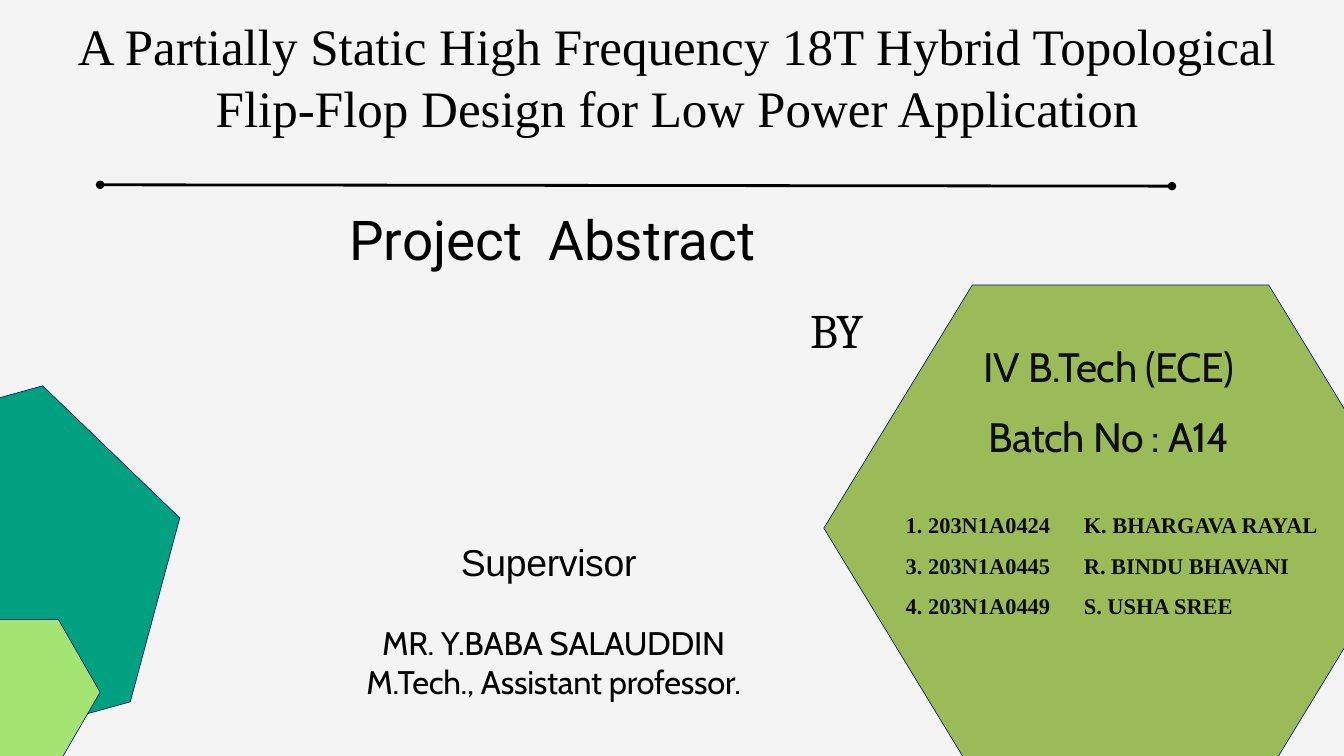
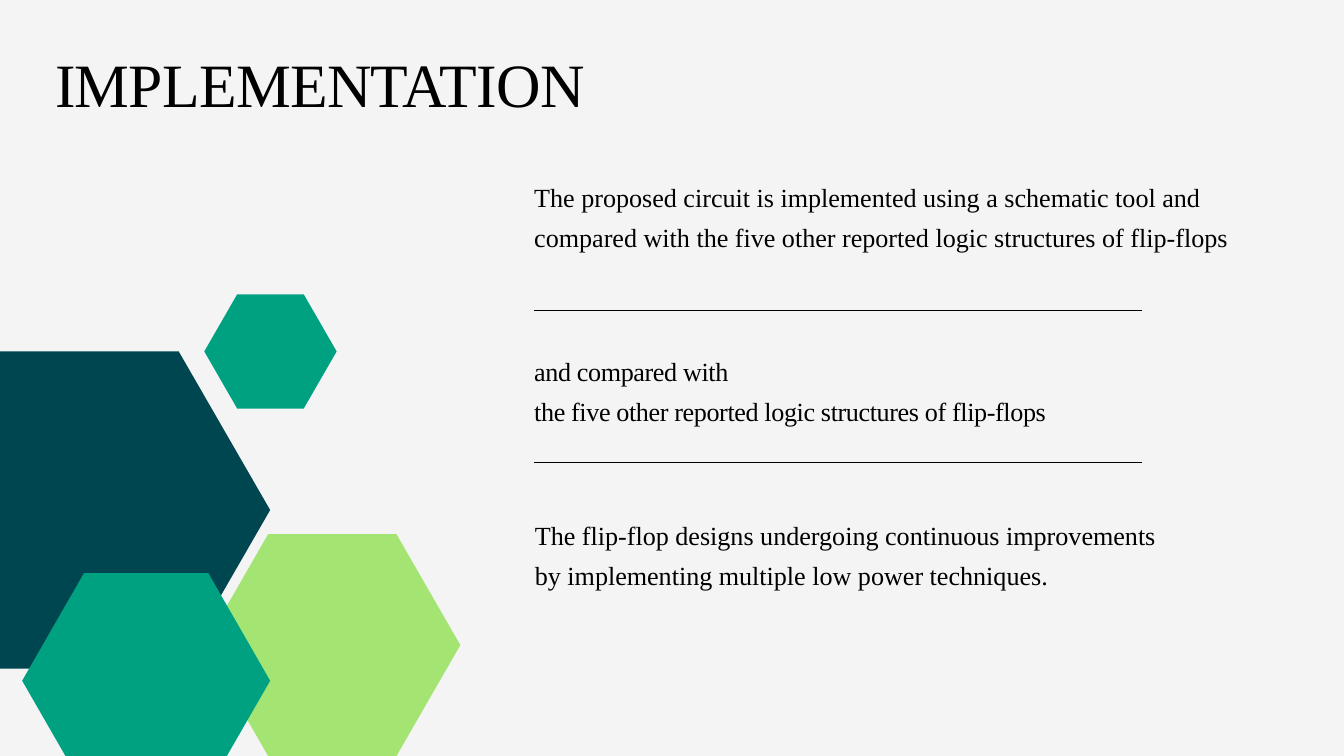
"""Build a title slide and an implementation slide with hexagon decoration."""
from dataclasses import dataclass

from lxml import etree
from pptx import Presentation
from pptx.dml.color import RGBColor
from pptx.enum.shapes import MSO_CONNECTOR
from pptx.enum.text import MSO_AUTO_SIZE, PP_ALIGN
from pptx.oxml.ns import qn
from pptx.util import Pt

PX = 9144
LEFT, MID, JUST = PP_ALIGN.LEFT, PP_ALIGN.CENTER, PP_ALIGN.JUSTIFY
STRAIGHT = MSO_CONNECTOR.STRAIGHT
GROW = MSO_AUTO_SIZE.SHAPE_TO_FIT_TEXT


@dataclass(frozen=True)
class Theme:
    paper: RGBColor = RGBColor.from_string("F4F4F4")
    ink: RGBColor = RGBColor.from_string("000000")
    soft: RGBColor = RGBColor.from_string("0D0D0D")
    edge: RGBColor = RGBColor.from_string("002060")
    olive: RGBColor = RGBColor.from_string("9BBB59")
    green: RGBColor = RGBColor.from_string("00A181")
    lime: RGBColor = RGBColor.from_string("A4E473")
    teal: RGBColor = RGBColor.from_string("004651")
    serif: str = "Times New Roman"
    head: float = 66
    title: float = 54.7
    sub: float = 58.8
    by: float = 51.5
    batch: float = 44
    role: float = 40
    guide: float = 35
    body: float = 28
    names: float = 24


T = Theme()


def text(slide, box, lines, size, font=T.serif, color=T.ink, align=LEFT,
         lead=1.0, track=0, bold=False, pad=(0, 0), tab=None):
    """Add a text box with one paragraph for each line."""
    frame = slide.shapes.add_textbox(*[n * PX for n in box]).text_frame
    frame.word_wrap, frame.auto_size = True, GROW
    frame.margin_left = frame.margin_right = pad[0] * PX
    frame.margin_top = frame.margin_bottom = pad[1] * PX
    for i, line in enumerate(lines):
        para = frame.add_paragraph() if i else frame.paragraphs[0]
        para.alignment, para.line_spacing = align, lead
        run = para.add_run()
        run.text = line
        run.font.name, run.font.size, run.font.bold = font, Pt(size), bold
        run.font.color.rgb = color
        if track:
            run.font._element.set("spc", str(round(track * 100)))
        if tab:
            stops = etree.SubElement(para._p.get_or_add_pPr(), qn("a:tabLst"))
            etree.SubElement(stops, qn("a:tab"), pos=str(tab * PX), algn="l")
    return frame


def hexagon(slide, box, fill, edge=None, turn=0):
    """Draw a flat-topped hexagon that fills the box."""
    x, y, w, h = box
    near, far, mid = x + w / 4, x + w * 3 / 4, y + h / 2
    path = slide.shapes.build_freeform(x, mid, scale=PX)
    path.add_line_segments(
        [(near, y), (far, y), (x + w, mid), (far, y + h), (near, y + h)])
    shape = path.convert_to_shape()
    shape.shadow.inherit = False
    shape.rotation = turn
    shape.fill.solid()
    shape.fill.fore_color.rgb = fill
    if edge:
        shape.line.color.rgb, shape.line.width = edge, Pt(0.75)
    else:
        shape.line.fill.background()


deck = Presentation()
deck.slide_width, deck.slide_height = 2000 * PX, 1125 * PX
cover, work = [deck.slides.add_slide(deck.slide_layouts[6]) for _ in range(2)]
for slide in (cover, work):
    slide.background.fill.solid()
    slide.background.fill.fore_color.rgb = T.paper

text(cover, (49, 22, 1918, 355),
     ["A Partially Static High Frequency 18T Hybrid Topological "
      "Flip-Flop Design for Low Power Application"],
     T.title, align=MID, lead=Pt(65.6))
text(cover, (520, 290, 960, 122), ["Project\tAbstract"], T.sub,
     font="Roboto", lead=Pt(82.3), tab=296)
for box, fill, turn in (
        ((1226, 424, 883, 725), T.olive, 0),
        ((-300, 604, 578, 488), T.green, 344.5),
        ((-99, 922, 248, 215), T.lime, 0)):
    hexagon(cover, box, fill, T.edge, turn)
text(cover, (1199, 447, 92, 98), ["BY"], T.by, font="Cambria",
     align=MID, lead=Pt(61.8), track=-0.5)
text(cover, (1345, 478, 611, 210), ["IV B.Tech (ECE)", "Batch No : A14"],
     T.batch, font="Cabin", color=T.soft, align=MID, lead=Pt(74.9), track=-0.6)
guide = text(cover, (476, 810, 696, 236),
             ["Supervisor ", "MR. Y.BABA SALAUDDIN",
              "M.Tech., Assistant professor."],
             T.guide, font="Cabin", align=MID, lead=Pt(42), track=-0.3)
role = guide.paragraphs[0].runs[0].font
role.name, role.size = "Arial", Pt(T.role)
guide.paragraphs[1].space_before = Pt(42)
text(cover, (1338, 736, 795, 186),
     ["1. 203N1A0424\tK. BHARGAVA RAYAL",
      "3. 203N1A0445\tR. BINDU BHAVANI",
      "4. 203N1A0449\tS. USHA SREE"],
     T.names, color=T.soft, align=JUST, lead=1.5, bold=True,
     pad=(10, 5), tab=265)

text(work, (82, 53, 1077, 121), ["IMPLEMENTATION"], T.head,
     lead=Pt(90), track=-0.8)
for box, fill in (
        ((-143, 523, 545, 472), T.teal),
        ((304, 795, 381, 330), T.lime),
        ((304, 438, 197, 170), T.green),
        ((33, 853, 369, 320), T.green)):
    hexagon(work, box, fill)
for box, lines, track in (
        ((795, 256, 1032, 186),
         ["The proposed circuit is implemented using a schematic tool and "
          "compared with the five other reported logic structures of "
          "flip-flops"], 0),
        ((795, 515, 972, 121),
         ["and compared with",
          "the five other reported logic structures of flip-flops"], -0.4),
        ((796, 759, 972, 121),
         ["The flip-flop designs undergoing continuous improvements by "
          "implementing multiple low power techniques."], 0)):
    text(work, box, lines, T.body, lead=Pt(43.2), track=track)

for slide, ends, width, dots in (
        (cover, (149, 275, 1744, 277), 3, True),
        (work, (795, 462, 1700, 462), 0.75, False),
        (work, (795, 688, 1700, 688), 0.75, False)):
    rule = slide.shapes.add_connector(STRAIGHT, *[n * PX for n in ends])
    rule.line.color.rgb, rule.line.width = T.ink, Pt(width)
    if dots:
        for tag in ("a:headEnd", "a:tailEnd"):
            etree.SubElement(rule.line._get_or_add_ln(), qn(tag), type="oval")
    etree.SubElement(rule._element.spPr, qn("a:effectLst"))

deck.save("out.pptx")
